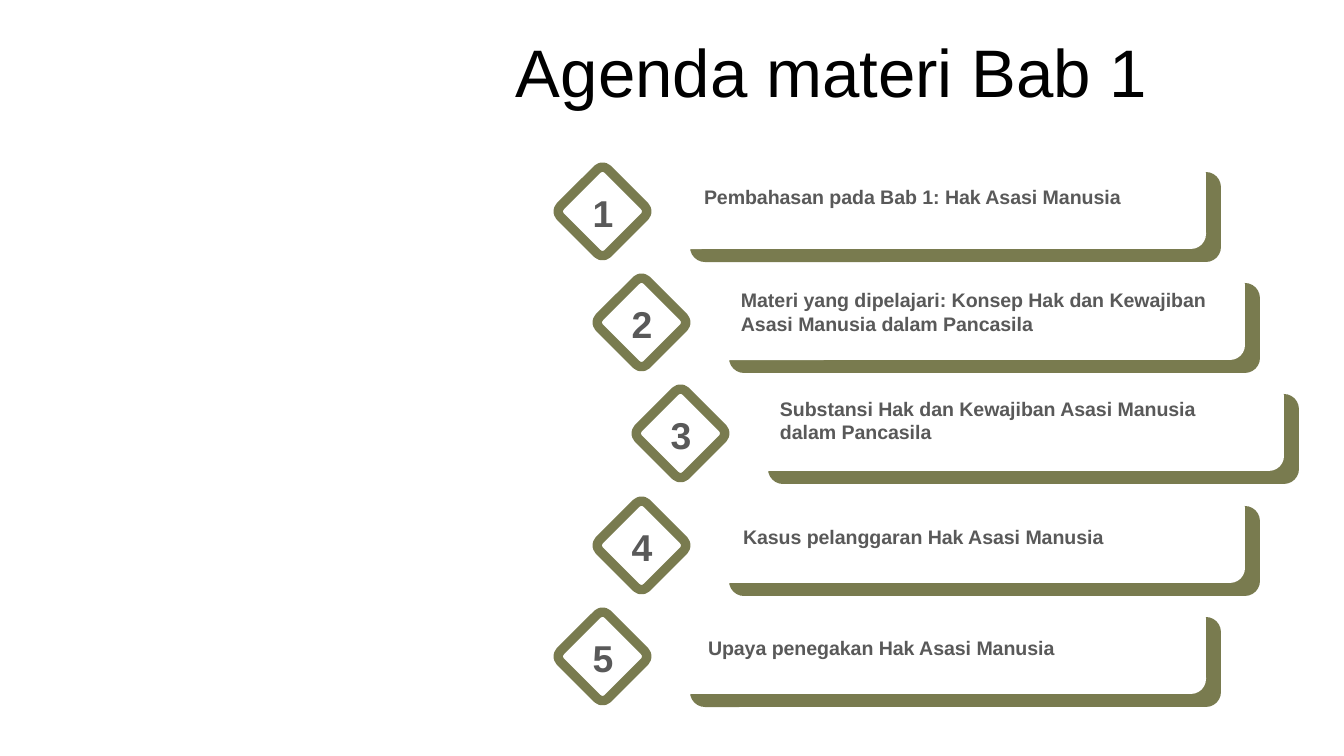
import pptx
import pptx.util
import pptx.dml.color
import pptx.enum.shapes
import pptx.enum.text

TITLE = "Agenda materi Bab 1"
AGENDA = [
    {"topic": "Pembahasan pada Bab 1: Hak Asasi Manusia", "step": 0, "left": 691, "middle": 38, "lines": 1},
    {"topic": "Materi yang dipelajari: Konsep Hak dan Kewajiban Asasi Manusia dalam Pancasila",
     "step": 1, "left": 689, "middle": 42, "lines": 2},
    {"topic": "Substansi Hak dan Kewajiban Asasi Manusia dalam Pancasila",
     "step": 2, "left": 689, "middle": 39, "lines": 2},
    {"topic": "Kasus pelanggaran Hak Asasi Manusia", "step": 1, "left": 691, "middle": 44, "lines": 1},
    {"topic": "Upaya penegakan Hak Asasi Manusia", "step": 0, "left": 695, "middle": 44, "lines": 1},
]
COLORS = {"olive": "797B4F", "white": "FFFFFF", "gray": "595959", "black": "000000"}

EMU_PER_PX = 914400 / 134.4
FIRST_TOP, ROWS_SPAN, STEP_SHIFT = 159, 445, 39
CARD_W, CARD_H, DIAMOND = 531, 90, 67
LABEL_W, LABEL_PAD, LINE_H = 499, 14, 23


def px(*lengths):
    return [pptx.util.Emu(round(length * EMU_PER_PX)) for length in lengths]


def rgb(name):
    return pptx.dml.color.RGBColor.from_string(COLORS[name])


def add_text(parent, text, box, size, color="gray", bold=False, align="LEFT", inset=13):
    frame = parent.add_textbox(*px(*box)).text_frame
    frame.word_wrap = True
    frame.vertical_anchor = pptx.enum.text.MSO_ANCHOR.MIDDLE
    frame.margin_left = frame.margin_right = px(inset)[0]
    paragraph = frame.paragraphs[0]
    paragraph.alignment = getattr(pptx.enum.text.PP_ALIGN, align)
    run = paragraph.add_run()
    run.text = text
    run.font.name = "Arial"
    run.font.size = pptx.util.Pt(size)
    run.font.bold = bold
    run.font.color.rgb = rgb(color)


def add_rounded(parent, box, fill, line=None, corner=0.167, rotation=0):
    rounded = parent.add_shape(pptx.enum.shapes.MSO_SHAPE.ROUNDED_RECTANGLE, *px(*box))
    rounded.shadow.inherit = False
    rounded.adjustments[0] = corner
    rounded.rotation = rotation
    rounded.fill.solid()
    rounded.fill.fore_color.rgb = rgb(fill)
    if line:
        rounded.line.color.rgb = rgb(line)
        rounded.line.width = pptx.util.Pt(5)
    else:
        rounded.line.fill.background()


def add_agenda_row(slide, index, item):
    top = FIRST_TOP + round(index * ROWS_SPAN / (len(AGENDA) - 1))
    shift = item["step"] * STEP_SHIFT
    row = slide.shapes.add_group_shape().shapes
    add_rounded(row, (690 + shift, top + 13, CARD_W, CARD_H), "olive")
    add_rounded(row, (675 + shift, top, CARD_W, CARD_H), "white")
    add_rounded(row, (569 + shift, top + 19, DIAMOND, DIAMOND), "white",
                line="olive", corner=0.107, rotation=45)
    add_text(row, str(index + 1), (581 + shift, top + 24, 44, 59), 20,
             bold=True, align="CENTER", inset=0)
    height = LABEL_PAD + item["lines"] * LINE_H
    add_text(row, item["topic"],
             (item["left"] + shift, top + item["middle"] - height / 2, LABEL_W, height),
             10.5, bold=True)


def main():
    deck = pptx.Presentation()
    deck.slide_width, deck.slide_height = px(1344, 756)
    slide = deck.slides.add_slide(deck.slide_layouts[6])
    add_text(slide.shapes, TITLE, (503, 28, 841, 85), 36, color="black")
    for index, item in enumerate(AGENDA):
        add_agenda_row(slide, index, item)
    deck.save("out.pptx")


if __name__ == "__main__":
    main()
